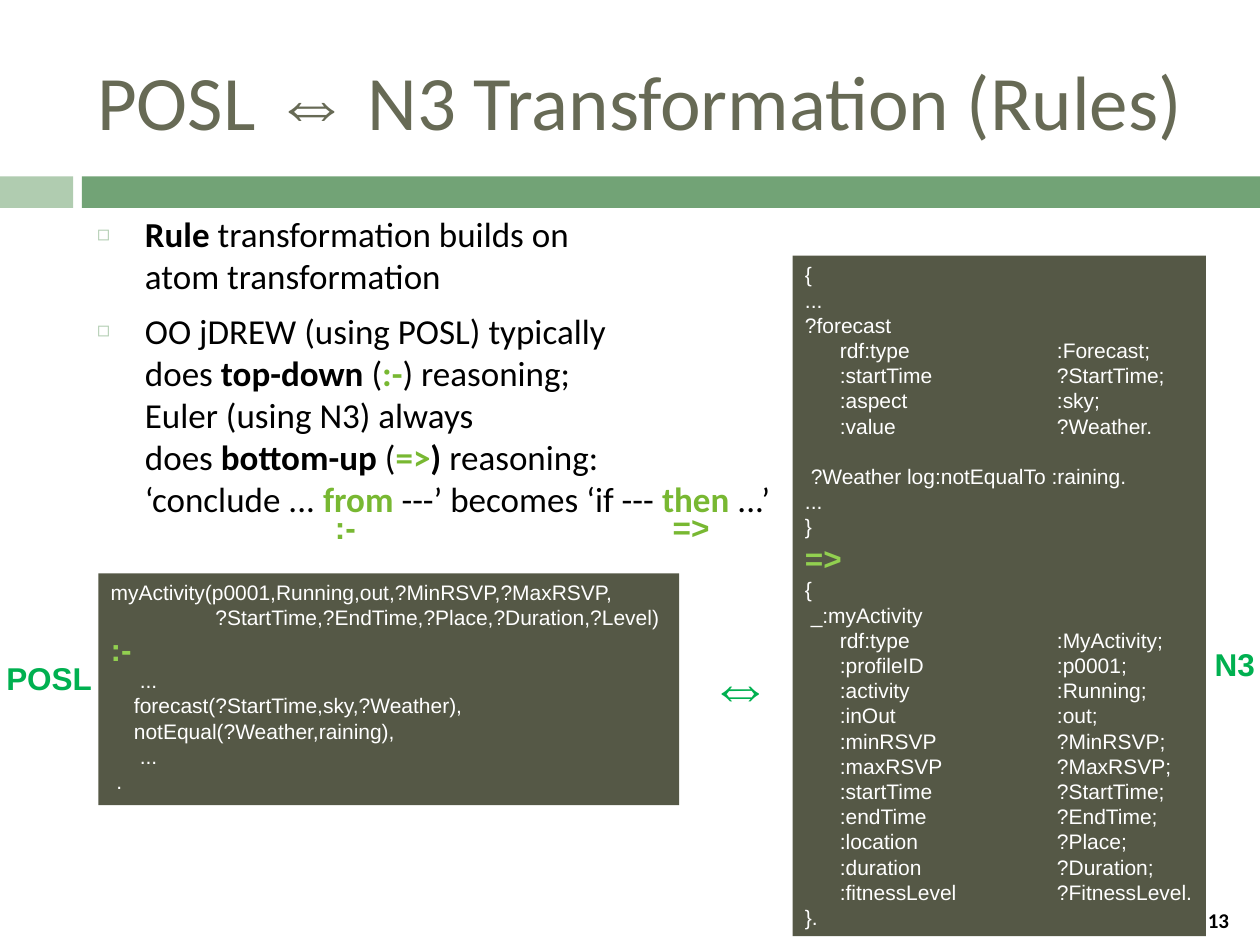
from lxml import etree
from pptx import Presentation
from pptx.dml.color import RGBColor
from pptx.enum.shapes import MSO_SHAPE as Shape
from pptx.enum.text import MSO_ANCHOR as Anchor, MSO_AUTO_SIZE as AutoSize, PP_ALIGN as Align
from pptx.oxml.ns import qn
from pptx.util import Inches, Pt

BLACK, WHITE = "000000", "FFFFFF"
SAGE, PALE_SAGE, OLIVE, DARK_OLIVE = "72A376", "B0CCB0", "676A55", "555846"
LEAF, LIME, GREEN = "78B832", "92D050", "00B050"

BULLETS = [
    [("Rule", BLACK, True), (" transformation builds on\natom transformation", BLACK, False)],
    [
        ("OO jDREW (using POSL) typically \ndoes ", BLACK, False),
        ("top-down ", BLACK, True),
        ("(", BLACK, False),
        (":-", LEAF, True),
        (") reasoning;\nEuler (using N3) always \ndoes ", BLACK, False),
        ("bottom-up", BLACK, True),
        (" (", BLACK, False),
        ("=>", LEAF, True),
        (") ", BLACK, True),
        ("reasoning:\n‘conclude ... ", BLACK, False),
        ("from", LEAF, True),
        (" ---’ becomes ‘if --- ", BLACK, False),
        ("then", LEAF, True),
        (" ...’", BLACK, False),
    ],
]

N3_CODE = [
    "{\n...",
    "?forecast",
    "      rdf:type\t\t:Forecast;",
    "      :startTime\t?StartTime;",
    "      :aspect\t\t:sky;",
    "      :value\t\t?Weather.",
    "\t",
    " ?Weather log:notEqualTo :raining.",
    "...",
    "}",
    "=>",
    "{",
    " _:myActivity",
    "      rdf:type\t\t:MyActivity;",
    "      :profileID\t\t:p0001;",
    "      :activity\t\t:Running;",
    "      :inOut\t\t:out;",
    "      :minRSVP\t?MinRSVP;",
    "      :maxRSVP\t?MaxRSVP;",
    "      :startTime\t?StartTime;",
    "      :endTime\t\t?EndTime;",
    "      :location\t\t?Place;",
    "      :duration\t\t?Duration;",
    "      :fitnessLevel\t?FitnessLevel.",
    "}.",
]

POSL_CODE = [
    "myActivity(p0001,Running,out,?MinRSVP,?MaxRSVP,",
    "                  ?StartTime,?EndTime,?Place,?Duration,?Level)",
    ":-",
    "     ...",
    "    forecast(?StartTime,sky,?Weather),",
    "    notEqual(?Weather,raining),",
    "     ...",
    " .",
]


def color(value):
    return RGBColor.from_string(value)


def add_run(paragraph, text, size, font_name, hue, bold=False):
    """Add text to a paragraph, turning newlines into line breaks."""
    for index, line in enumerate(text.split("\n")):
        if index:
            paragraph.add_line_break()
        run = paragraph.add_run()
        run.text = line
        font = run.font
        font.size, font.name, font.bold = Pt(size), font_name, bold
        font.color.rgb = color(hue)


def next_paragraph(frame, index):
    return frame.add_paragraph() if index else frame.paragraphs[0]


def add_properties(paragraph, *items):
    """Append (tag, attributes) children to the paragraph properties."""
    properties = paragraph._p.get_or_add_pPr()
    for tag, attributes in items:
        etree.SubElement(properties, qn(tag), attributes)
    return properties


def place(shape, left, top, width, height):
    shape.left, shape.top = Inches(left), Inches(top)
    shape.width, shape.height = Inches(width), Inches(height)


def add_rectangle(slide, left, top, width, height, fill):
    shape = slide.shapes.add_shape(
        Shape.RECTANGLE, Inches(left), Inches(top), Inches(width), Inches(height))
    shape.shadow.inherit = False
    shape.fill.solid()
    shape.fill.fore_color.rgb = color(fill)
    shape.line.fill.background()
    return shape


def set_title(slide):
    title = slide.shapes.title
    place(title, 0.67, 0.25, 8.92, 1.08)
    frame = title.text_frame
    frame.auto_size = AutoSize.NONE
    frame.vertical_anchor = Anchor.MIDDLE
    paragraph = frame.paragraphs[0]
    paragraph.alignment = Align.LEFT
    add_run(paragraph, "POSL ", 44, "Calibri", OLIVE)
    add_run(paragraph, "⇔", 44, "Arial", OLIVE)
    add_run(paragraph, " N3 Transformation (Rules)", 44, "Calibri", OLIVE)


def set_bullets(slide):
    body = slide.placeholders[1]
    place(body, 0.67, 1.64, 8.92, 4.92)
    frame = body.text_frame
    frame.auto_size = AutoSize.NONE
    for index, runs in enumerate(BULLETS):
        paragraph = next_paragraph(frame, index)
        paragraph.space_before = Pt(7 if index else 0)
        properties = add_properties(
            paragraph, ("a:buClr", {}), ("a:buSzPct", {"val": "60000"}),
            ("a:buChar", {"char": "◻"}))
        etree.SubElement(properties.find(qn("a:buClr")), qn("a:srgbClr"), {"val": PALE_SAGE})
        properties.set("marL", str(Inches(0.38)))
        properties.set("indent", str(-Inches(0.38)))
        for text, hue, bold in runs:
            add_run(paragraph, text, 20, "Calibri", hue, bold)


def add_code(slide, left, top, width, height, lines):
    """Dark panel of code with tab stops every inch and a large rule operator."""
    panel = add_rectangle(slide, left, top, width, height, DARK_OLIVE)
    frame = panel.text_frame
    frame.word_wrap = True
    frame.vertical_anchor = Anchor.TOP
    for index, line in enumerate(lines):
        paragraph = next_paragraph(frame, index)
        paragraph.alignment = Align.LEFT
        tabs = add_properties(paragraph, ("a:tabLst", {})).find(qn("a:tabLst"))
        for inch in range(1, 8):
            etree.SubElement(tabs, qn("a:tab"), {"pos": str(Inches(inch)), "algn": "l"})
        if line in ("=>", ":-"):
            add_run(paragraph, line, 18, "Arial", LIME, True)
        else:
            add_run(paragraph, line, 12, "Arial", WHITE)


def add_label(slide, left, top, width, height, text, hue,
              size=18, font_name="Arial", align=Align.CENTER):
    box = slide.shapes.add_textbox(Inches(left), Inches(top), Inches(width), Inches(height))
    frame = box.text_frame
    frame.word_wrap = False
    frame.vertical_anchor = Anchor.TOP
    paragraph = frame.paragraphs[0]
    paragraph.alignment = align
    add_run(paragraph, text, size, font_name, hue, True)
    return box


def main():
    presentation = Presentation()
    presentation.slide_width, presentation.slide_height = Inches(10), Inches(7.5)
    slide = presentation.slides.add_slide(presentation.slide_layouts[1])

    # Heading and band
    add_rectangle(slide, 0, 1.4, 0.58, 0.25, PALE_SAGE)
    add_rectangle(slide, 0.65, 1.4, 9.35, 0.25, SAGE)
    set_title(slide)
    set_bullets(slide)

    # Code panels
    add_code(slide, 6.29, 2.03, 3.28, 5.4, N3_CODE)
    add_code(slide, 0.78, 4.55, 4.61, 1.84, POSL_CODE)

    # Language names and the arrow between them
    add_label(slide, 5.17, 5.09, 1.41, 0.7, "⇔", GREEN, size=36)
    add_label(slide, -0.08, 5.18, 0.94, 0.4, "POSL", GREEN)
    add_label(slide, 9.33, 5.07, 0.94, 0.4, "N3", GREEN)

    # Operators under the words "from" and "then"
    add_label(slide, 2.56, 3.98, 0.37, 0.4, ":-", LEAF, align=Align.LEFT)
    add_label(slide, 5.24, 3.98, 0.55, 0.4, "=>", LEAF, align=Align.LEFT)

    # Slide number
    number = add_label(slide, 9.38, 7.19, 0.58, 0.27, "13", BLACK, 12, "Calibri")
    number.text_frame.vertical_anchor = Anchor.MIDDLE
    number.text_frame.paragraphs[0].line_spacing = 0.8

    presentation.save("out.pptx")


if __name__ == "__main__":
    main()
